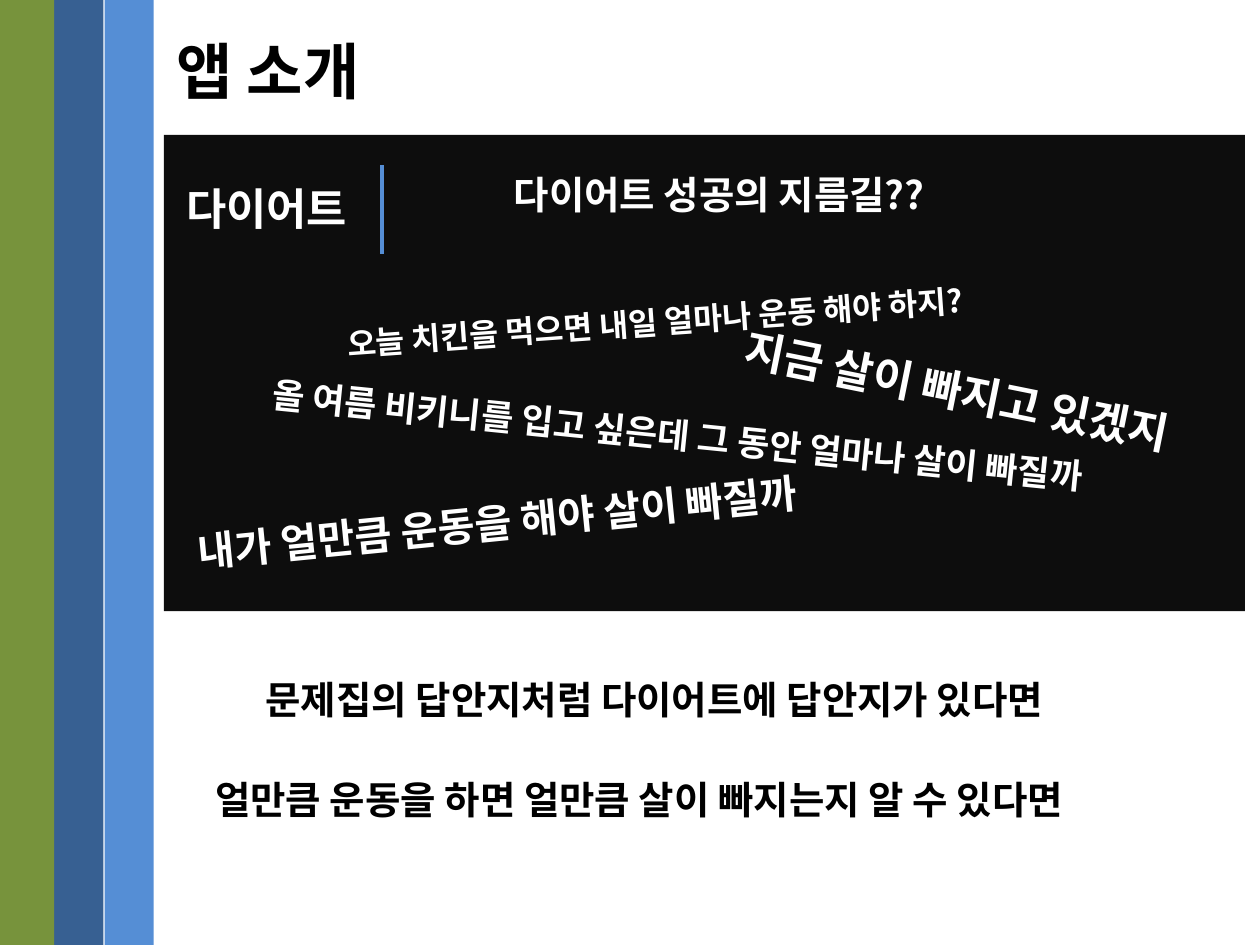
from lxml import etree
from pptx import Presentation
from pptx.dml.color import RGBColor
from pptx.enum import shapes, text
from pptx.oxml.ns import qn
from pptx.util import Inches, Pt

FONT = "Noto Sans CJK KR"
WHITE, BLACK, PANEL = "FFFFFF", "000000", "0D0D0D"
GREEN, NAVY, BLUE = "77933C", "376092", "558ED5"


def color(value):
    return RGBColor.from_string(value)


def add_block(page, left, top, width, height, fill):
    block = page.shapes.add_shape(
        shapes.MSO_SHAPE.RECTANGLE,
        Inches(left), Inches(top), Inches(width), Inches(height))
    block.shadow.inherit = False
    block.fill.solid()
    block.fill.fore_color.rgb = color(fill)
    block.line.fill.background()


def write(box, words, size, ink):
    frame = box.text_frame
    frame.text = words
    frame.word_wrap = True
    frame.auto_size = text.MSO_AUTO_SIZE.SHAPE_TO_FIT_TEXT
    frame.vertical_anchor = text.MSO_ANCHOR.TOP
    para = frame.paragraphs[0]
    para.alignment = text.PP_ALIGN.LEFT
    span = para.runs[0]
    span.font.size = Pt(size)
    span.font.bold = True
    span.font.name = FONT
    span.font.color.rgb = color(ink)
    # Korean letters take the East Asian font
    east_asian = etree.SubElement(span.font._element, qn("a:ea"))
    east_asian.set("typeface", FONT)


def add_words(parent, left, top, width, height, words, size, ink, angle=0):
    box = parent.shapes.add_textbox(
        Inches(left), Inches(top), Inches(width), Inches(height))
    write(box, words, size, ink)
    box.rotation = angle


def add_side_stripes(page, height):
    for left, width, fill in ((0.83, 0.39, BLUE), (0.43, 0.39, NAVY),
                              (0, 0.43, GREEN)):
        add_block(page, left, 0, width, height, fill)


def add_title(page, left, top, width, height):
    title = page.shapes.title
    title.left, title.top = Inches(left), Inches(top)
    title.width, title.height = Inches(width), Inches(height)
    write(title, "앱 소개", 35, BLACK)


def add_question_panel(page, left, top, width, height):
    add_block(page, left, top, width, height, PANEL)

    # Tilted questions: offset in the panel, size, words, point size, angle
    questions = (
        (0.16, 2.8, 5.61, 0.49, "내가 얼만큼 운동을 해야 살이 빠질까", 23, -5.7),
        (0.75, 2.21, 7.54, 0.44,
         "올 여름 비키니를 입고 싶은데 그 동안 얼마나 살이 빠질까", 20, 5.8),
        (1.35, 1.26, 5.74, 0.4,
         "오늘 치킨을 먹으면 내일 얼마나 운동 해야 하지?", 18, -4.1),
        (4.48, 1.82, 4.08, 0.52, "지금 살이 빠지고 있겠지", 25, 11.5),
    )
    group = page.shapes.add_group_shape()
    for x, y, w, h, words, size, angle in questions:
        add_words(group, left + x, top + y, w, h, words, size, WHITE, angle)

    # Topic, divider and headline
    add_words(page, left + 0.08, top + 0.32, 1.6, 0.52, "다이어트", 25, WHITE)
    x, y = left + 1.73, top + 0.24
    divider = page.shapes.add_connector(
        shapes.MSO_CONNECTOR.STRAIGHT,
        Inches(x), Inches(y), Inches(x), Inches(y + 0.71))
    divider.line.color.rgb = color(BLUE)
    divider.line.width = Pt(2.25)
    etree.SubElement(divider._element.spPr, qn("a:effectLst"))
    add_words(page, left + 2.68, y, 3.79, 0.47,
              "다이어트 성공의 지름길??", 22, WHITE)


def add_closing_lines(page, left, top):
    add_words(page, left + 0.4, top, 7.12, 0.47,
              "문제집의 답안지처럼 다이어트에 답안지가 있다면", 22, BLACK)
    add_words(page, left, top + 0.79, 7.86, 0.47,
              "얼만큼 운동을 하면 얼만큼 살이 빠지는지 알 수 있다면", 22, BLACK)


def main():
    deck = Presentation()
    deck.slide_width, deck.slide_height = Inches(10), Inches(7.5)
    page = deck.slides.add_slide(deck.slide_layouts[5])
    add_title(page, 1.3, 0.21, 1.85, 0.69)
    add_side_stripes(page, 7.5)
    add_question_panel(page, 1.3, 1.07, 8.58, 3.78)
    add_closing_lines(page, 1.61, 5.32)
    deck.save("out.pptx")


if __name__ == "__main__":
    main()
